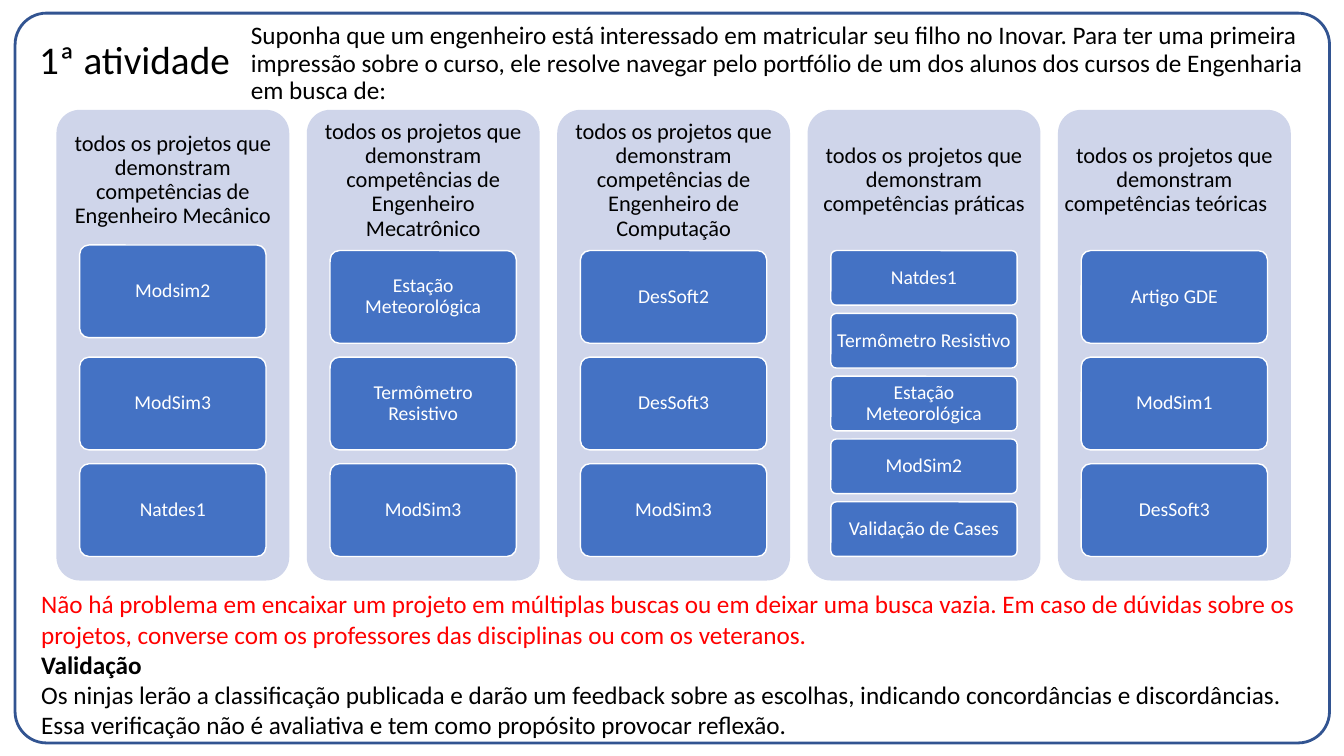
from pptx import Presentation
from pptx.dml.color import RGBColor
from pptx.enum.shapes import MSO_SHAPE
from pptx.enum.text import MSO_ANCHOR, PP_ALIGN
from pptx.util import Pt

ROUNDED = MSO_SHAPE.ROUNDED_RECTANGLE
TOP, MIDDLE = MSO_ANCHOR.TOP, MSO_ANCHOR.MIDDLE
LEFT, CENTER = PP_ALIGN.LEFT, PP_ALIGN.CENTER

COLORS = {
    "frame": "325491",
    "panel": "CFD5EA",
    "card": "4472C4",
    "white": "FFFFFF",
    "black": "000000",
    "red": "FF0000",
}

PANEL_LEFT, PANEL_TOP, PANEL_STEP = 40.3, 78.5, 178.85
PANEL_WIDTH, PANEL_HEIGHT, HEADING_HEIGHT = 166.3, 336.2, 100.8
CARD_INDENT, CARD_WIDTH = 16.6, 133.1
CARDS_TOP, CARDS_HEIGHT, GAP_RATIO = 179, 218.5, 0.15

INTRO = (
    "Suponha que um engenheiro está interessado em matricular seu filho no Inovar. "
    "Para ter uma primeira impressão sobre o curso, ele resolve navegar pelo portfólio "
    "de um dos alunos dos cursos de Engenharia em busca de:"
)
SEARCH = "todos os projetos que demonstram competências "
SEARCHES = [
    ("de Engenheiro Mecânico", ["Modsim2", "ModSim3", "Natdes1"]),
    ("de Engenheiro Mecatrônico",
     ["Estação Meteorológica", "Termômetro Resistivo", "ModSim3"]),
    ("de Engenheiro de Computação", ["DesSoft2", "DesSoft3", "ModSim3"]),
    ("práticas", ["Natdes1", "Termômetro Resistivo", "Estação Meteorológica",
                  "ModSim2", "Validação de Cases"]),
    ("teóricas\t", ["Artigo GDE", "ModSim1", "DesSoft3"]),
]
FIRST_CARD_SHIFT = {0: -4}
NOTES = [
    ("Não há problema em encaixar um projeto em múltiplas buscas ou em deixar uma busca "
     "vazia. Em caso de dúvidas sobre os projetos, converse com os professores das "
     "disciplinas ou com os veteranos.", "red", False),
    ("Validação", "black", True),
    ("Os ninjas lerão a classificação publicada e darão um feedback sobre as escolhas, "
     "indicando concordâncias e discordâncias. Essa verificação não é avaliativa e tem "
     "como propósito provocar reflexão.", "black", False),
]


def rgb(name):
    return RGBColor.from_string(COLORS[name])


def set_frame(tf, anchor, inset_x, inset_y):
    tf.word_wrap = True
    tf.vertical_anchor = anchor
    tf.margin_left = tf.margin_right = Pt(inset_x)
    tf.margin_top = tf.margin_bottom = Pt(inset_y)


def set_paragraph(p, text, size, color, align=LEFT, spacing=0.9, bold=False):
    p.text = text
    p.alignment = align
    p.line_spacing = spacing
    p.font.name = "Calibri"
    p.font.size = Pt(size)
    p.font.bold = bold
    p.font.color.rgb = rgb(color)


def add_rounded(slide, box, radius, fill=None, line=None, weight=1):
    s = slide.shapes.add_shape(ROUNDED, *map(Pt, box))
    s.shadow.inherit = False
    s.adjustments[0] = radius
    if fill:
        s.fill.solid()
        s.fill.fore_color.rgb = rgb(fill)
    else:
        s.fill.background()
    if line:
        s.line.color.rgb = rgb(line)
        s.line.width = Pt(weight)
    else:
        s.line.fill.background()
    return s


def add_text(slide, box, anchor=TOP, inset_x=7.2, inset_y=3.6):
    tf = slide.shapes.add_textbox(*map(Pt, box)).text_frame
    set_frame(tf, anchor, inset_x, inset_y)
    return tf


def add_card(slide, box, text):
    tf = add_rounded(slide, box, 0.1, "card", "white").text_frame
    set_frame(tf, MIDDLE, 2.8, 2.1)
    set_paragraph(tf.paragraphs[0], text, 14, "white", CENTER)


def add_search(slide, column, topic, projects):
    left = PANEL_LEFT + column * PANEL_STEP
    add_rounded(slide, (left, PANEL_TOP, PANEL_WIDTH, PANEL_HEIGHT), 0.1, "panel")
    tf = add_text(slide, (left, PANEL_TOP, PANEL_WIDTH, HEADING_HEIGHT), MIDDLE, 4.8, 4.8)
    set_paragraph(tf.paragraphs[0], SEARCH + topic, 16, "black", CENTER)

    count = len(projects)
    height = CARDS_HEIGHT / (count + (count - 1) * GAP_RATIO)
    for row, project in enumerate(projects):
        top = CARDS_TOP + row * height * (1 + GAP_RATIO)
        if row == 0:
            top += FIRST_CARD_SHIFT.get(column, 0)
        add_card(slide, (left + CARD_INDENT, top, CARD_WIDTH, height), project)


def add_notes(slide):
    tf = add_text(slide, (22.3, 416.9, 926, 116.6))
    for i, (text, color, bold) in enumerate(NOTES):
        p = tf.add_paragraph() if i else tf.paragraphs[0]
        set_paragraph(p, text, 18, color, spacing=1.0, bold=bold)


def main():
    prs = Presentation()
    prs.slide_width, prs.slide_height = Pt(960), Pt(540)
    slide = prs.slides.add_slide(prs.slide_layouts[6])

    add_rounded(slide, (10.8, 9.4, 938.9, 521.3), 0.043, line="frame", weight=2)
    title = add_text(slide, (20.9, -7.9, 828, 104.4), MIDDLE)
    set_paragraph(title.paragraphs[0], "1ª atividade", 28, "black")
    intro = add_text(slide, (172.1, 13, 776.2, 62))
    set_paragraph(intro.paragraphs[0], INTRO, 18, "black")
    for column, (topic, projects) in enumerate(SEARCHES):
        add_search(slide, column, topic, projects)
    add_notes(slide)

    prs.save("out.pptx")


if __name__ == "__main__":
    main()
